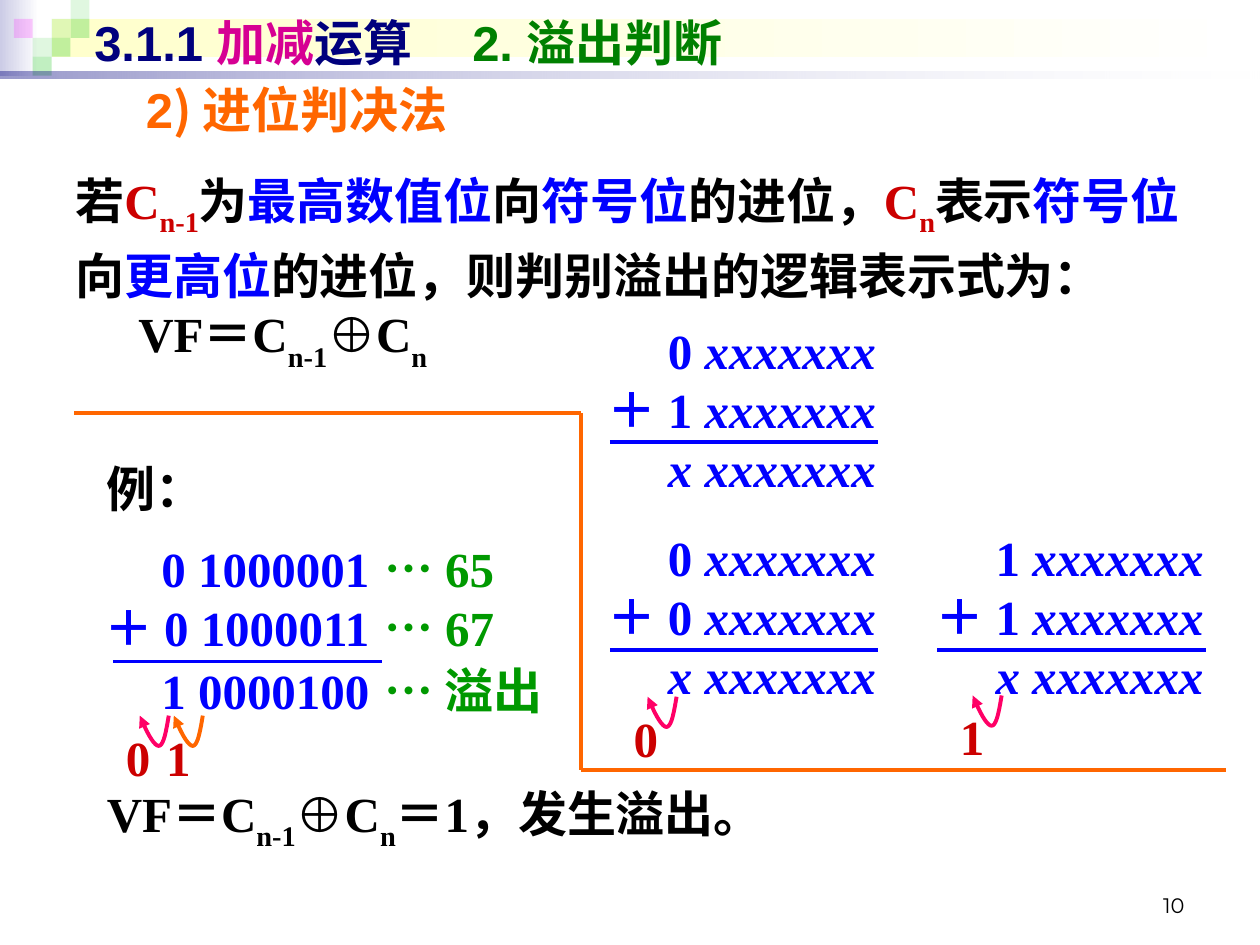
from dataclasses import dataclass

import pptx
import pptx.dml.color
import pptx.enum.shapes
import pptx.enum.text
import pptx.oxml
import pptx.oxml.ns
import pptx.util

PX = 9144  # EMU per px, 100 px to the inch
ALIGN = pptx.enum.text.PP_ALIGN
ANCHOR = pptx.enum.text.MSO_ANCHOR
SERIF, SANS, CJK = "Times New Roman", "Arial", "Noto Sans CJK SC"
BLACK, BLUE, RED, GREEN = "000000", "0000FF", "CC0000", "009900"
NAVY, ORANGE, PINK = "00007D", "FF6600", "FF0066"
SUM_PITCH, BODY_PITCH = 33.7, 38  # line heights in points


@dataclass
class Run:
    text: str
    color: str = BLACK
    font: str = SERIF
    italic: bool = False
    sub: int = 0
    size: int = 28
    bold: bool = True


@dataclass
class Para:
    runs: list[Run]
    pitch: float | None = SUM_PITCH
    before: float = 0
    align: ALIGN = ALIGN.LEFT


@dataclass
class Band:
    """A decorative rectangle; two colours make a gradient."""
    box: tuple[int, int, int, int]
    colors: list[str]
    alphas: list[int]


@dataclass
class Sum:
    x: int
    y: int
    first: str
    second: str


def rgb(color: str) -> pptx.dml.color.RGBColor:
    return pptx.dml.color.RGBColor.from_string(color)


def emu(*lengths: float) -> list[int]:
    return [round(v * PX) for v in lengths]


def add_xml(parent, tag: str, **attrs: str) -> None:
    e = pptx.oxml.parse_xml(f"<{tag} {pptx.oxml.ns.nsdecls('a')}/>")
    for name, value in attrs.items():
        e.set(name, value)
    parent.append(e)


def add_band(shapes, band: Band) -> None:
    s = shapes.add_shape(pptx.enum.shapes.MSO_SHAPE.RECTANGLE, *emu(*band.box))
    s.shadow.inherit = False
    if len(band.colors) == 1:
        s.fill.solid()
        s.fill.fore_color.rgb = rgb(band.colors[0])
    else:
        s.fill.gradient()
        s.fill.gradient_angle = 0
        for stop, color in zip(s.fill.gradient_stops, band.colors):
            stop.color.rgb = rgb(color)
    for e, alpha in zip(s._element.spPr.iter(pptx.oxml.ns.qn("a:srgbClr")), band.alphas):
        if alpha < 100:
            add_xml(e, "a:alpha", val=str(alpha * 1000))
    s.line.fill.background()


def add_text(shapes, box: tuple[int, int, int, int], paras: list[Para], anchor=ANCHOR.TOP) -> None:
    tf = shapes.add_textbox(*emu(*box)).text_frame
    tf.word_wrap, tf.vertical_anchor = True, anchor
    for i, para in enumerate(paras):
        p = tf.add_paragraph() if i else tf.paragraphs[0]
        p.alignment = para.align
        if para.pitch:
            p.line_spacing = pptx.util.Pt(para.pitch)
        if para.before:
            p.space_before = pptx.util.Pt(para.before)
        for run in para.runs:
            r = p.add_run()
            r.text = run.text
            formats = {"name": run.font, "size": pptx.util.Pt(run.size),
                       "bold": run.bold, "italic": run.italic}
            for name, value in formats.items():
                setattr(r.font, name, value)
            r.font.color.rgb = rgb(run.color)
            add_xml(r.font._element, "a:ea", typeface=CJK)
            if run.sub:
                r.font._element.set("baseline", str(-run.sub * 1000))


def add_line(shapes, ends: tuple[int, int, int, int], color: str) -> None:
    s = shapes.add_connector(pptx.enum.shapes.MSO_CONNECTOR.STRAIGHT, *emu(*ends))
    s.line.color.rgb = rgb(color)
    s.line.width = pptx.util.Pt(2.25)
    add_xml(s._element.spPr, "a:effectLst")


def add_carry_arrow(shapes, x: int, y: int, color: str) -> None:
    """Draw a hook from (x, y) down and back up to the left, with an arrowhead."""
    curves = [[(0, 0), (-2, 12), (-4, 24), (-8, 24)],
              [(-8, 24), (-12, 24), (-18, 12), (-23, 0)]]
    steps = 10
    points = []
    for curve in curves:
        for i in range(1, steps + 1):
            t = i / steps
            weights = [(1 - t) ** 3, 3 * t * (1 - t) ** 2, 3 * t * t * (1 - t), t ** 3]
            dx, dy = (sum(w * c[k] for w, c in zip(weights, curve)) for k in (0, 1))
            points.append(tuple(emu(x + dx, y + dy)))
    fb = shapes.build_freeform(*emu(x, y))
    fb.add_line_segments(points, close=False)
    s = fb.convert_to_shape()
    s.shadow.inherit = False
    s.fill.background()
    s.line.color.rgb = rgb(color)
    s.line.width = pptx.util.Pt(2.25)
    add_xml(s.line._get_or_add_ln(), "a:tailEnd", type="triangle")


def add_carry_digit(shapes, x: int, y: int, digit: str) -> None:
    add_text(shapes, (x, y, 39, 57), [Para([Run(digit, RED)])])


def add_sum(shapes, item: Sum) -> None:
    heads = [f"{item.first} ", f"＋ {item.second} ", "x "]
    paras = [Para([Run(head, BLUE, italic=head == "x "), Run("xxxxxxx", BLUE, italic=True)],
                  align=ALIGN.RIGHT) for head in heads]
    add_text(shapes, (item.x, item.y, 276, 150), paras)
    add_line(shapes, (item.x + 55, item.y + 102, item.x + 268, item.y + 102), BLUE)


def formula(sub: int = 30) -> list[Run]:
    return [Run("VF＝C"), Run("n-1", sub=sub), Run("⊕C"), Run("n", sub=sub)]


def main() -> None:
    prs = pptx.Presentation()
    prs.slide_width, prs.slide_height = emu(1000, 750)
    shapes = prs.slides.add_slide(prs.slide_layouts[6]).shapes

    add_band(shapes, Band((0, 0, 31, 60), ["CCCCE6", "FFFFFF"], [100, 100]))
    add_band(shapes, Band((41, 15, 955, 30), ["FFFFCC", "FFFFFF"], [100, 100]))
    tiles = [(41, 15, "33CC33", 15), (56, 0, "33CC33", 15), (56, 15, "33CC33", 30),
             (26, 30, "33CC33", 15), (11, 15, "FF00FF", 20), (41, 30, "33CC33", 30),
             (26, 45, "33CC33", 30)]
    for x, y, color, alpha in tiles:
        add_band(shapes, Band((x, y, 15, 15), [color], [alpha]))
    add_band(shapes, Band((0, 57, 1000, 5), [NAVY, "FFFFFF"], [40, 10]))

    add_text(shapes, (717, 683, 233, 50),
             [Para([Run("10", font="Montserrat", size=12, bold=False)], None, align=ALIGN.RIGHT)],
             ANCHOR.BOTTOM)
    add_text(shapes, (65, 5, 900, 57), [Para([
        Run("3.1.1 ", NAVY, SANS), Run("加减", "D60093", SANS), Run("运算\t", NAVY, SANS),
        Run("2. 溢出判断", "008000", SANS)], None)], ANCHOR.MIDDLE)
    add_text(shapes, (106, 58, 869, 57), [Para([
        Run("2", ORANGE, SANS), Run(") ", ORANGE, CJK), Run("进位判决法", ORANGE, SANS)], None)],
        ANCHOR.MIDDLE)

    add_text(shapes, (50, 131, 930, 173), [
        Para([Run("若"), Run("C", RED), Run("n-1", RED, sub=25), Run("为"),
              Run("最高数值位", BLUE), Run("向"), Run("符号位", BLUE), Run("的进位，"),
              Run("C", RED), Run("n", RED, sub=25), Run("表示"), Run("符号位", BLUE),
              Run("向"), Run("更高位", BLUE), Run("的进位，则判别溢出的逻辑表示式为：")],
             BODY_PITCH),
        Para([Run("\t"), *formula()], before=5.6)])

    add_text(shapes, (75, 359, 252, 63), [Para([Run("例：")])])
    rows = [("0 1000001", " 65"), ("＋ 0 1000011", " 67"), ("1 0000100", " 溢出")]
    gaps = [0, 0, 2.8]
    add_text(shapes, (27, 422, 276, 155),
             [Para([Run(bits, BLUE)], before=gap, align=ALIGN.RIGHT)
              for (bits, _), gap in zip(rows, gaps)])
    add_line(shapes, (90, 525, 303, 525), BLUE)
    add_text(shapes, (295, 422, 165, 155),
             [Para([Run("…", GREEN, CJK), Run(value, GREEN)], before=gap)
              for (_, value), gap in zip(rows, gaps)])
    add_text(shapes, (75, 619, 575, 63),
             [Para([*formula(), Run("＝1，发生溢出。")], BODY_PITCH)])

    for item in [Sum(429, 249, "0", "1"), Sum(429, 414, "0", "0"), Sum(689, 414, "1", "1")]:
        add_sum(shapes, item)
    for ends in [(59, 328, 461, 328), (461, 328, 461, 611), (461, 611, 973, 611)]:
        add_line(shapes, ends, ORANGE)
    for x, y, color in [(161, 568, ORANGE), (134, 568, PINK), (537, 553, PINK), (795, 552, PINK)]:
        add_carry_arrow(shapes, x, y, color)
    for x, y, digit in [(122, 572, "1"), (90, 572, "0"), (493, 557, "0"), (752, 556, "1")]:
        add_carry_digit(shapes, x, y, digit)

    prs.save("out.pptx")


if __name__ == "__main__":
    main()
